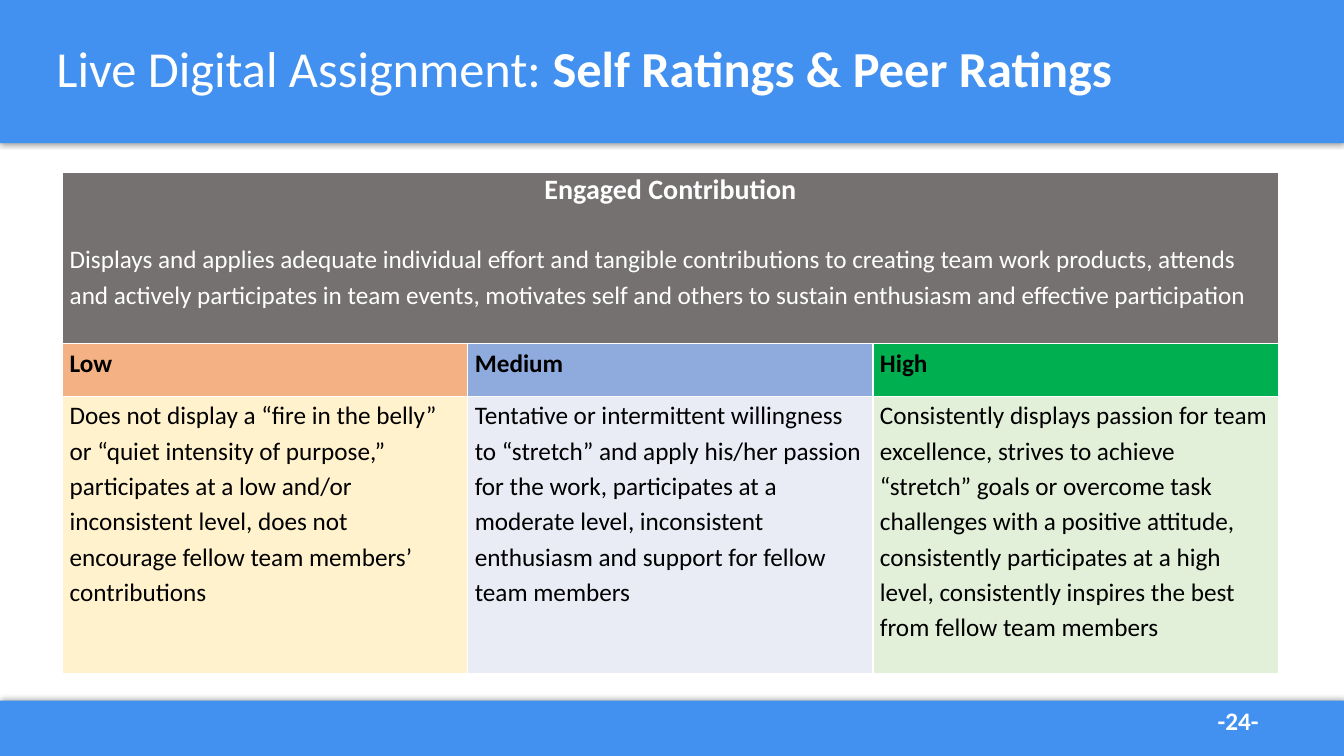
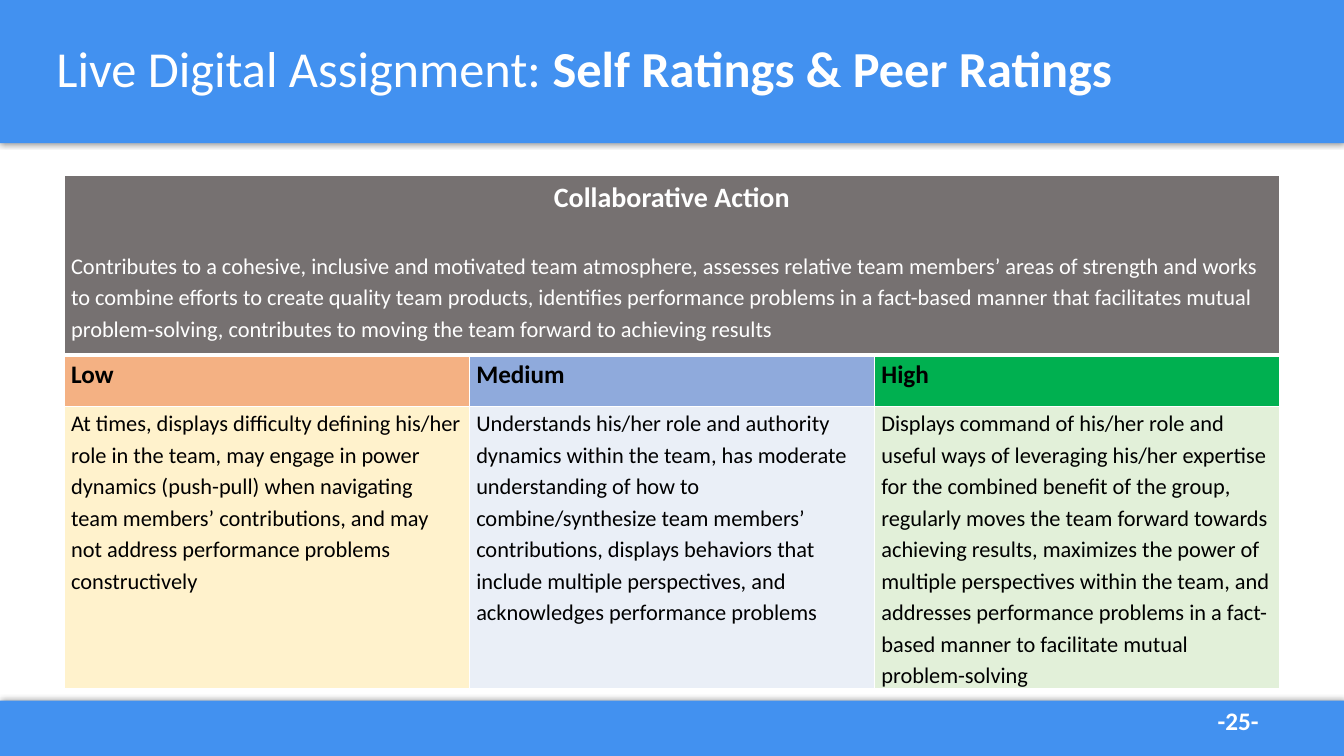
from lxml import etree
from pptx import Presentation
from pptx.dml.color import RGBColor
from pptx.enum import shapes, text
from pptx.oxml import ns
from pptx.util import Pt

BLUE, WHITE, BLACK, GREY = "4291F0", "FFFFFF", "000000", "767171"
LEVELS = [("Low", "F4B183"), ("Medium", "8FAADC"), ("High", "00B050")]
WIDTH, HEIGHT = 960, 540
BANDS = [(0, 102.2, 90), (500.4, 39.6, 270)]
COLUMN = 289.4

ratings = [
    dict(page=24, left=44.8, top=123.2, rows=(122.4, 37.4, 198), size=18, rule=1,
         heading="Engaged Contribution", heading_spacing=1.0,
         summary="Displays and applies adequate individual effort and tangible contributions to creating team work products, attends and actively participates in team events, motivates self and others to sustain enthusiasm and effective participation",
         levels=[
             ("Does not display a “fire in the belly” or “quiet intensity of purpose,” participates at a low and/or inconsistent level, does not encourage fellow team members’ contributions", "FFF2CC"),
             ("Tentative or intermittent willingness to “stretch” and apply his/her passion for the work, participates at a moderate level, inconsistent enthusiasm and support for fellow team members", "E9EBF5"),
             ("Consistently displays passion for team excellence, strives to achieve “stretch” goals or overcome task challenges with a positive attitude, consistently participates at a high level, consistently inspires the best from fellow team members", "E2F0D9"),
         ]),
    dict(page=25, left=45.8, top=125.5, rows=(128.2, 36.7, 201.6), size=16, rule=3,
         heading="Collaborative Action", heading_spacing=1.15,
         summary="Contributes to a cohesive, inclusive and motivated team atmosphere, assesses relative team members’ areas of strength and works to combine efforts to create quality team products, identifies performance problems in a fact-based manner that facilitates mutual problem-solving, contributes to moving the team forward to achieving results",
         levels=[
             ("At times, displays difficulty defining his/her role in the team, may engage in power dynamics (push-pull) when navigating team members’ contributions, and may not address performance problems constructively", "FFF2CC"),
             ("Understands his/her role and authority dynamics within the team, has moderate understanding of how to combine/synthesize team members’ contributions, displays behaviors that include multiple perspectives, and acknowledges performance problems", "EAEFF7"),
             ("Displays command of his/her role and useful ways of leveraging his/her expertise for the combined benefit of the group, regularly moves the team forward towards achieving results, maximizes the power of multiple perspectives within the team, and addresses performance problems in a fact-based manner to facilitate mutual problem-solving", "E2F0D9"),
         ]),
]


def color(value):
    return RGBColor.from_string(value)


def write(paragraph, words, size, ink, bold=False, spacing=1.0, gap=0):
    paragraph.line_spacing = spacing
    paragraph.space_before = paragraph.space_after = Pt(gap)
    run = paragraph.add_run()
    run.text = words
    run.font.name = "Calibri"
    run.font.size = Pt(size)
    run.font.bold = bold
    run.font.color.rgb = color(ink)


prs = Presentation()
prs.slide_width, prs.slide_height = Pt(WIDTH), Pt(HEIGHT)

for rating in ratings:
    slide = prs.slides.add_slide(prs.slide_layouts[5])
    title = slide.shapes.title

    for top, height, direction in BANDS:
        band = slide.shapes.add_shape(shapes.MSO_SHAPE.RECTANGLE, 0, Pt(top), Pt(WIDTH), Pt(height))
        band.fill.solid()
        band.fill.fore_color.rgb = color(BLUE)
        band.line.fill.background()
        band.shadow.inherit = False
        effects = band._element.spPr.find(ns.qn("a:effectLst"))
        shadow = etree.SubElement(effects, ns.qn("a:outerShdw"), blurRad=str(Pt(4)), dist=str(Pt(1)),
                                  dir=str(direction * 60000), algn="ctr", rotWithShape="0")
        shade = etree.SubElement(shadow, ns.qn("a:srgbClr"), val=BLACK)
        etree.SubElement(shade, ns.qn("a:alpha"), val="40000")
        title._element.addprevious(band._element)

    title.left, title.top, title.width, title.height = Pt(33.1), Pt(-1.4), Pt(894.2), Pt(104.4)
    title.text_frame.vertical_anchor = text.MSO_ANCHOR.MIDDLE
    heading = title.text_frame.paragraphs[0]
    heading.alignment = text.PP_ALIGN.LEFT
    write(heading, "Live Digital Assignment: ", 36, WHITE, spacing=0.9)
    write(heading, "Self Ratings & Peer Ratings", 36, WHITE, bold=True, spacing=0.9)

    page_number = slide.shapes.add_textbox(Pt(862.6), Pt(500.4), Pt(70.6), Pt(28.8)).text_frame
    page_number.word_wrap = True
    write(page_number.paragraphs[0], f"-{rating['page']}-", 18, WHITE, bold=True)

    table = slide.shapes.add_table(3, 3, Pt(rating["left"]), Pt(rating["top"]),
                                   Pt(3 * COLUMN), Pt(sum(rating["rows"]))).table
    table.first_row = table.horz_banding = False
    for column in table.columns:
        column.width = Pt(COLUMN)
    for row, height in zip(table.rows, rating["rows"]):
        row.height = Pt(height)
    table.cell(0, 0).merge(table.cell(0, 2))

    competency = table.cell(0, 0).text_frame
    write(competency.paragraphs[0], rating["heading"], 20, WHITE, True, rating["heading_spacing"], 12)
    competency.paragraphs[0].alignment = text.PP_ALIGN.CENTER
    write(competency.add_paragraph(), rating["summary"], rating["size"], WHITE, spacing=1.15, gap=12)

    for i, ((level, _), (description, _)) in enumerate(zip(LEVELS, rating["levels"])):
        write(table.cell(1, i).text_frame.paragraphs[0], level, 18, BLACK, True, 1.15)
        write(table.cell(2, i).text_frame.paragraphs[0], description, rating["size"], BLACK,
              spacing=1.15, gap=12)

    fills = [[GREY] * 3, [tint for _, tint in LEVELS], [tint for _, tint in rating["levels"]]]
    for r, tints in enumerate(fills):
        for c, tint in enumerate(tints):
            cell = table.cell(r, c)
            cell.margin_left = cell.margin_right = Pt(5)
            cell.margin_top = cell.margin_bottom = 0
            cell.fill.solid()
            cell.fill.fore_color.rgb = color(tint)
            for position, side in enumerate("LRTB"):
                under_heading = (r, side) in [(0, "B"), (1, "T")]
                border = etree.Element(ns.qn(f"a:ln{side}"), w=str(Pt(rating["rule"] if under_heading else 1)))
                paint = etree.SubElement(border, ns.qn("a:solidFill"))
                etree.SubElement(paint, ns.qn("a:srgbClr"), val=WHITE)
                cell._tc.tcPr.insert(position, border)

prs.save("out.pptx")
